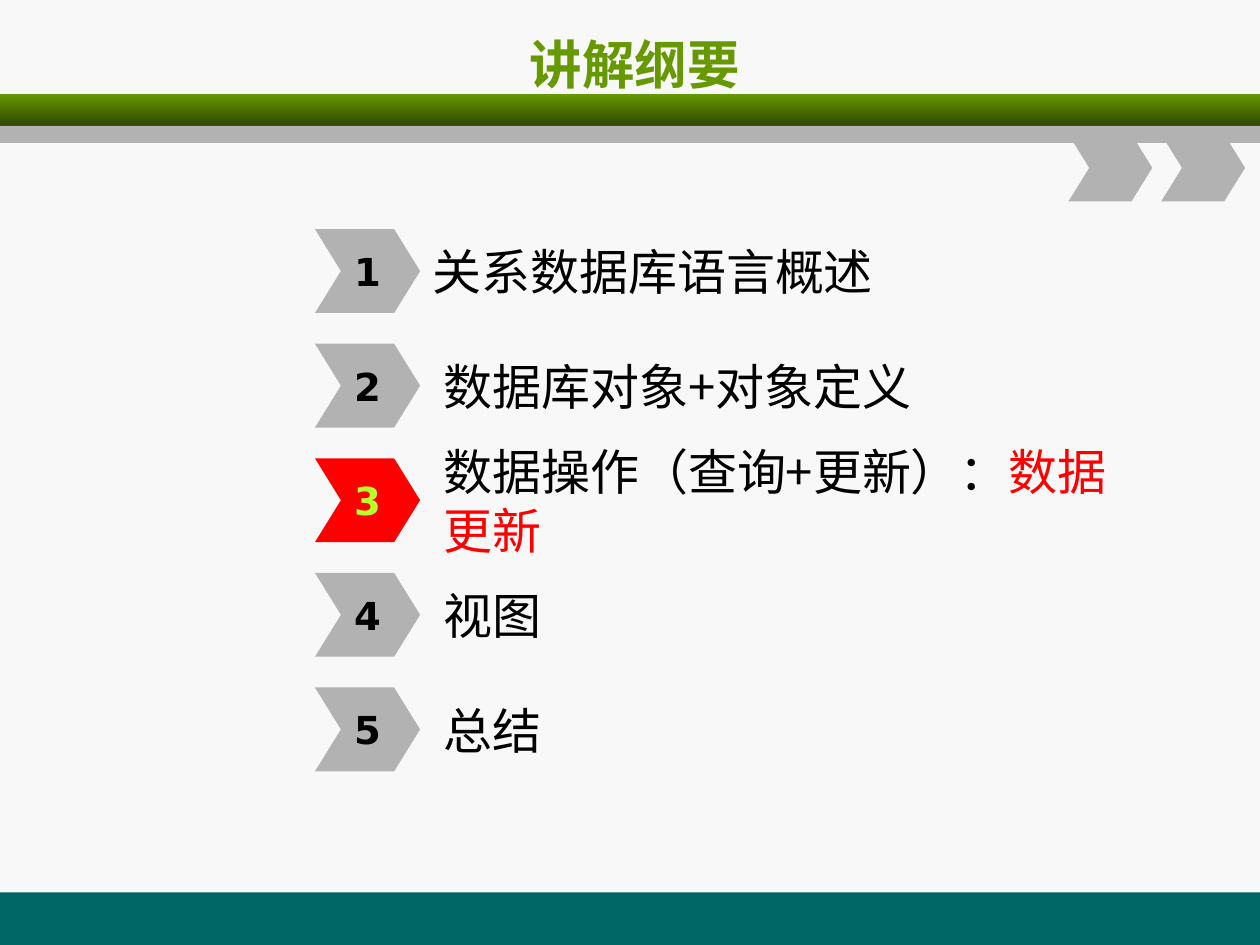
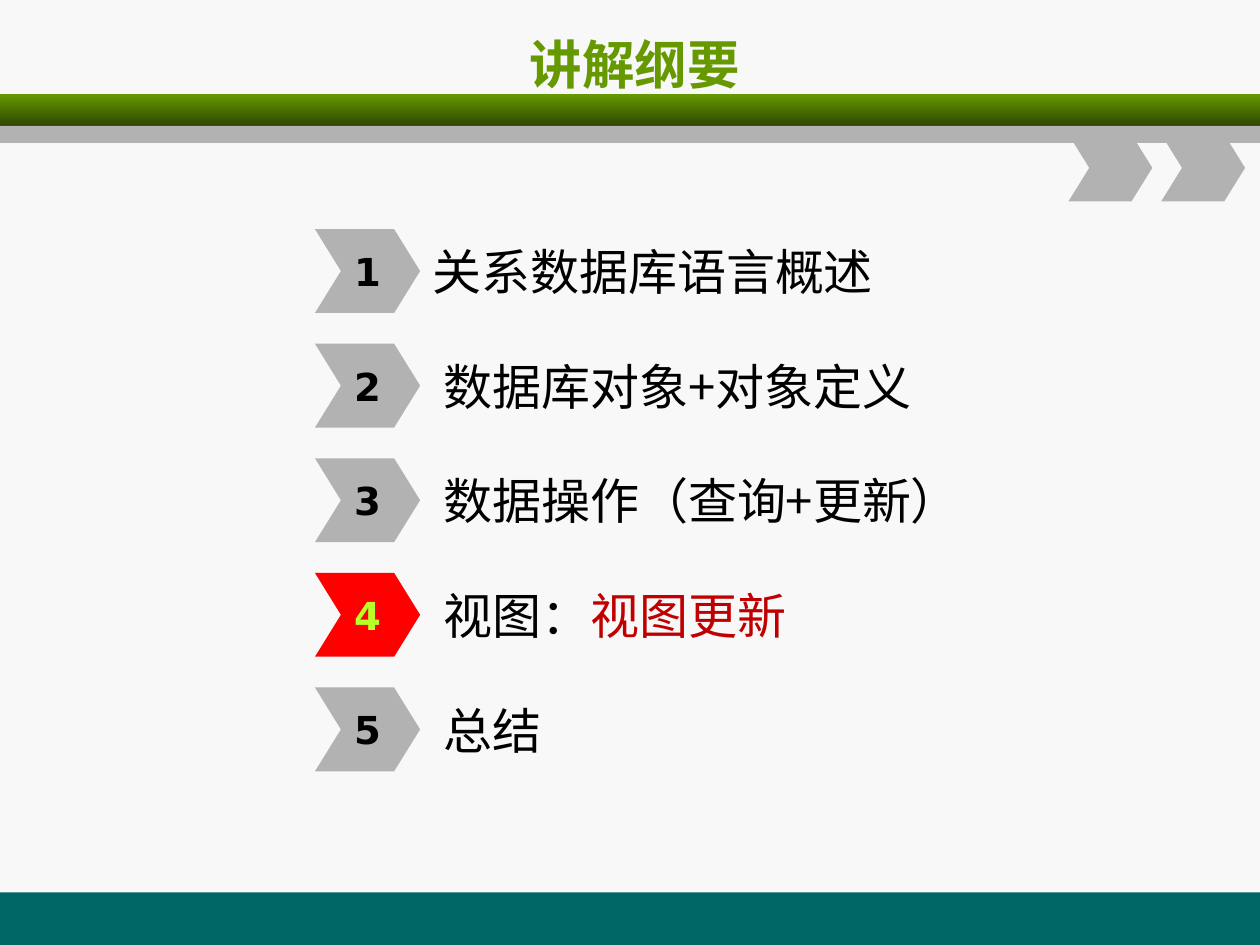
from dataclasses import dataclass

from lxml.etree import SubElement
from pptx import Presentation
from pptx.dml.color import RGBColor as Color
from pptx.enum.shapes import MSO_SHAPE as Shape
from pptx.enum.text import MSO_ANCHOR as Anchor, PP_ALIGN as Align
from pptx.oxml.ns import qn
from pptx.util import Cm, Pt


@dataclass(frozen=True)
class Theme:
    background: str = "F8F8F8"
    green: str = "669900"
    dark_green: str = "2F4600"
    grey: str = "B2B2B2"
    teal: str = "006666"
    black: str = "000000"
    active: str = "FF0000"
    active_number: str = "B8FF29"
    text_font: str = "Noto Sans CJK SC"
    number_font: str = "DejaVu Sans"
    title_size: int = 30
    item_size: int = 28
    number_size: int = 22


THEME = Theme()
SLIDE_WIDTH, SLIDE_HEIGHT = 25.4, 19.05
FIRST_TOP, ROW_PITCH = 4.62, 2.31
MARKER_LEFT, MARKER_WIDTH, MARKER_HEIGHT = 6.35, 2.12, 1.69
ITEM_HEIGHT = 1.48

TITLE = "讲解纲要"
TOPICS = ["关系数据库语言概述", "数据库对象+对象定义", "数据操作（查询+更新）", "视图", "总结"]
OUTLINES = [
    {"active": 3, "detail": "数据更新", "detail_color": "FF0000"},
    {"active": 4, "detail": "视图更新", "detail_color": "C00000"},
]


def rgb(value):
    return Color.from_string(value)


def style_paragraph(paragraph, font_name, size, color, bold=False, align=Align.LEFT):
    paragraph.alignment = align
    font = paragraph.font
    font.size = Pt(size)
    font.bold = bold
    font.color.rgb = rgb(color)
    font.name = font_name
    properties = paragraph._p.get_or_add_pPr().find(qn("a:defRPr"))
    SubElement(properties, qn("a:ea")).set("typeface", font_name)


def add_shape(slide, kind, left, top, width, height, color):
    shape = slide.shapes.add_shape(kind, Cm(left), Cm(top), Cm(width), Cm(height))
    shape.shadow.inherit = False
    shape.line.fill.background()
    shape.fill.solid()
    shape.fill.fore_color.rgb = rgb(color)
    return shape


def add_chevron(slide, left, top, width, height, color):
    chevron = add_shape(slide, Shape.CHEVRON, left, top, width, height, color)
    chevron.adjustments[0] = 0.31
    return chevron


def add_text_box(slide, left, top, width, height, wrap):
    box = slide.shapes.add_textbox(Cm(left), Cm(top), Cm(width), Cm(height))
    frame = box.text_frame
    frame.word_wrap = wrap
    frame.vertical_anchor = Anchor.MIDDLE
    return frame


def add_frame(slide):
    add_shape(slide, Shape.RECTANGLE, 0, 17.99, SLIDE_WIDTH, 1.06, THEME.teal)
    band = add_shape(slide, Shape.RECTANGLE, 0, 1.9, SLIDE_WIDTH, 0.64, THEME.green)
    band.fill.gradient()
    band.fill.gradient_angle = 270
    for stop, color in zip(band.fill.gradient_stops, (THEME.green, THEME.dark_green)):
        stop.color.rgb = rgb(color)
    add_shape(slide, Shape.RECTANGLE, 0, 2.54, SLIDE_WIDTH, 0.34, THEME.grey)
    for left in (21.54, 23.41):
        add_chevron(slide, left, 2.71, 1.69, 1.35, THEME.grey)


def add_title(slide, text):
    paragraph = add_text_box(slide, 1.37, 0.43, 22.86, 1.7, True).paragraphs[0]
    paragraph.text = text
    style_paragraph(paragraph, THEME.text_font, THEME.title_size, THEME.green, True, Align.CENTER)


def add_marker(slide, top, number, active):
    fill = THEME.active if active else THEME.grey
    color = THEME.active_number if active else THEME.black
    marker = add_chevron(slide, MARKER_LEFT, top, MARKER_WIDTH, MARKER_HEIGHT, fill)
    frame = marker.text_frame
    frame.word_wrap = False
    frame.vertical_anchor = Anchor.MIDDLE
    paragraph = frame.paragraphs[0]
    paragraph.text = str(number)
    style_paragraph(paragraph, THEME.number_font, THEME.number_size, color, True, Align.CENTER)


def add_topic(slide, top, text, inset, detail=None, detail_color=None):
    middle_top = top + (MARKER_HEIGHT - ITEM_HEIGHT) / 2
    left = MARKER_LEFT + MARKER_WIDTH
    frame = add_text_box(slide, left, middle_top, 15.04, ITEM_HEIGHT, False)
    frame.margin_left = Cm(inset)
    paragraph = frame.paragraphs[0]
    paragraph.add_run().text = f"{text}：" if detail else text
    style_paragraph(paragraph, THEME.text_font, THEME.item_size, THEME.black)
    if detail:
        run = paragraph.add_run()
        run.text = detail
        run.font.color.rgb = rgb(detail_color)


def add_outline(slide, active, detail, detail_color):
    for number, topic in enumerate(TOPICS, 1):
        top = FIRST_TOP + (number - 1) * ROW_PITCH
        inset = 0.25 if number == 1 else 0.47
        is_active = number == active
        add_topic(slide, top, topic, inset, detail if is_active else None, detail_color)
        add_marker(slide, top, number, is_active)


def main():
    presentation = Presentation()
    presentation.slide_width = Cm(SLIDE_WIDTH)
    presentation.slide_height = Cm(SLIDE_HEIGHT)
    for outline in OUTLINES:
        slide = presentation.slides.add_slide(presentation.slide_layouts[6])
        slide.background.fill.solid()
        slide.background.fill.fore_color.rgb = rgb(THEME.background)
        add_frame(slide)
        add_title(slide, TITLE)
        add_outline(slide, **outline)
    presentation.save("out.pptx")


if __name__ == "__main__":
    main()
